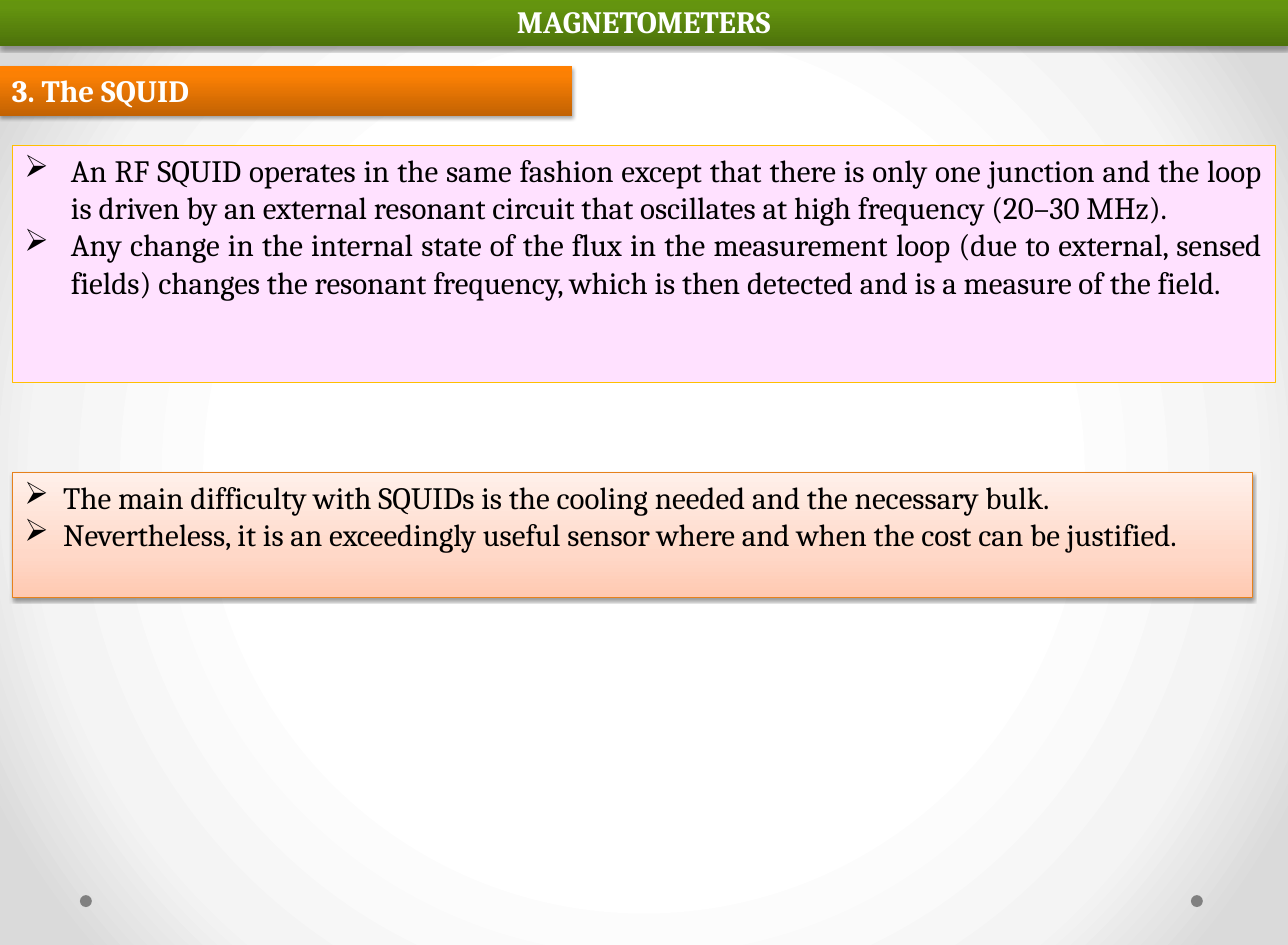
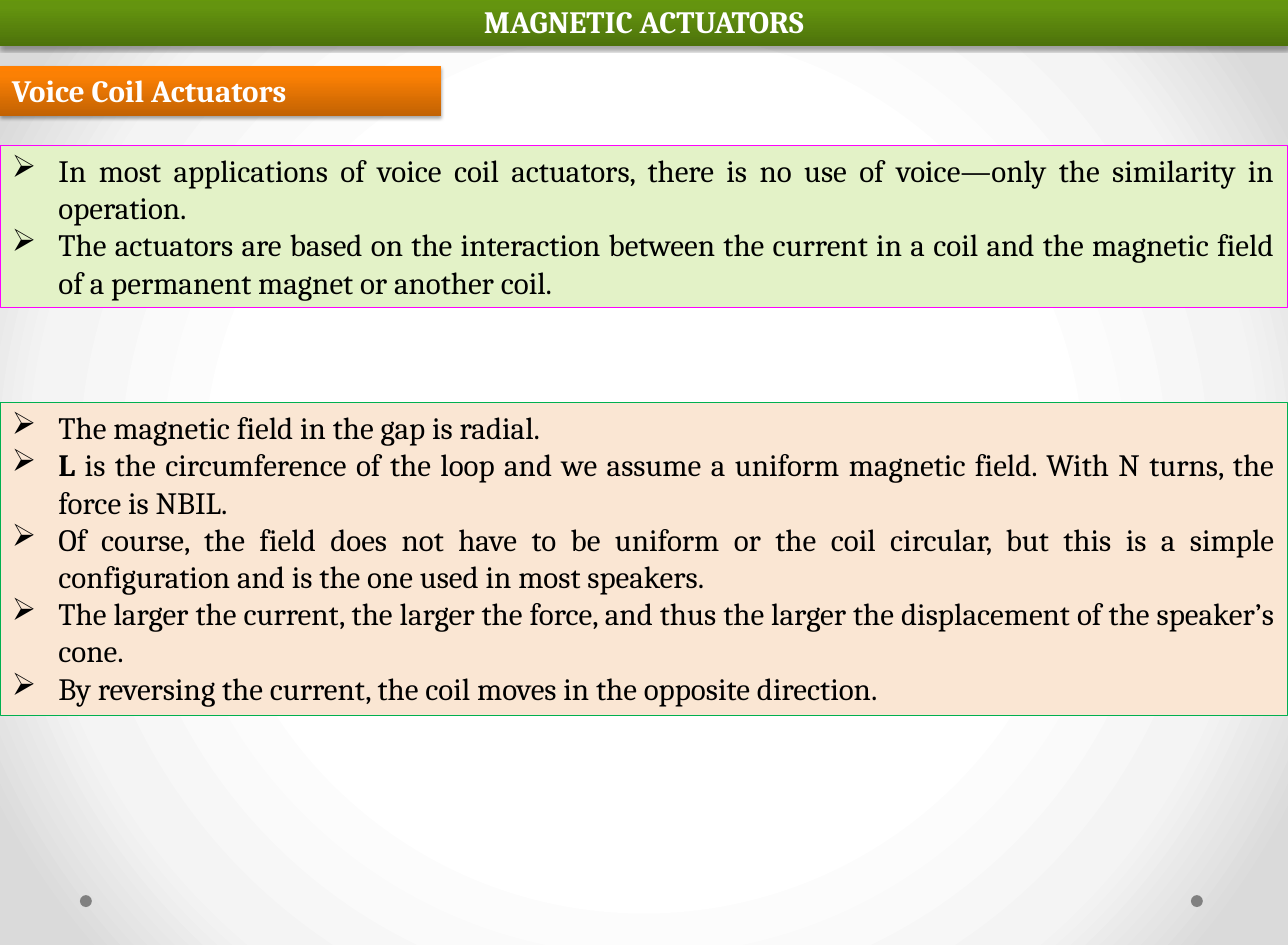
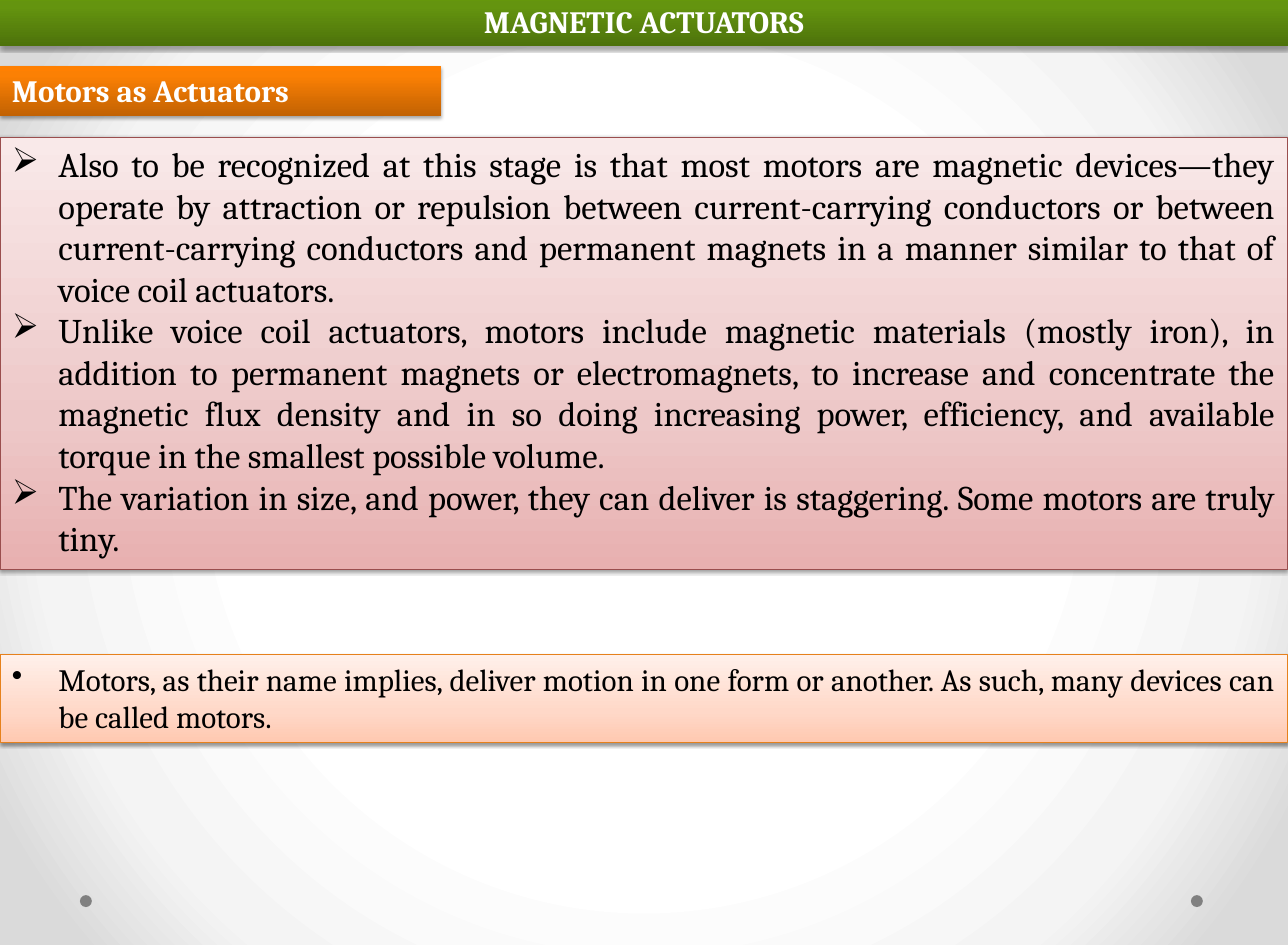
import pptx
import pptx.dml.color
import pptx.enum.shapes
import pptx.enum.text
import pptx.oxml
import pptx.oxml.ns
import pptx.util
from lxml import etree

Pt = pptx.util.Pt
RGB = pptx.dml.color.RGBColor
SHAPE = pptx.enum.shapes.MSO_SHAPE
ALIGN = pptx.enum.text.PP_ALIGN
qn = pptx.oxml.ns.qn

SLIDE_W, SLIDE_H = 1080, 792
FONT = "Cambria"
TEXT_SIZE = 26
INDENT = 39
ARROW = "➢"

BLACK = RGB(0x00, 0x00, 0x00)
WHITE = RGB(0xFF, 0xFF, 0xFF)
GRAY = RGB(0x80, 0x80, 0x80)
PINK = RGB(0xFF, 0xE1, 0xFF)
GOLD = RGB(0xFF, 0xC0, 0x00)
PALE_GREEN = RGB(0xE3, 0xF2, 0xC7)
MAGENTA = RGB(0xFF, 0x00, 0xFF)
SAND = RGB(0xFA, 0xE6, 0xD3)
GREEN = RGB(0x00, 0xB0, 0x50)
ORANGE = RGB(0xE6, 0x81, 0x1C)
BRICK = RGB(0x9A, 0x4E, 0x4E)

BACKDROP = ((50, WHITE), (76, RGB(0xF4, 0xF4, 0xF4)), (92, RGB(0xDA, 0xDA, 0xDA)))
GREEN_BAND = ((0, RGB(0x4D, 0x72, 0x0B)), (80, RGB(0x64, 0x94, 0x0F)), (100, RGB(0x65, 0x97, 0x0C)))
ORANGE_BAND = ((0, RGB(0xC2, 0x62, 0x03)), (80, RGB(0xFB, 0x80, 0x04)), (100, RGB(0xFF, 0x80, 0x02)))
PEACH = ((0, RGB(0xFF, 0xC9, 0xB1)), (35, RGB(0xFF, 0xD8, 0xC8)), (100, RGB(0xFF, 0xF0, 0xEA)))
ROSE = ((0, RGB(0xE8, 0xB0, 0xB0)), (35, RGB(0xED, 0xC8, 0xC8)), (100, RGB(0xF9, 0xE9, 0xE9)))


def add_node(parent, tag, **attributes):
    node = etree.SubElement(parent, qn(tag))
    for key, value in attributes.items():
        node.set(key, str(value))
    return node


def fill_gradient(fill, owner, stops, radial=False):
    fill.gradient()
    gradient = next(owner.iter(qn("a:gradFill")))
    for child in list(gradient):
        gradient.remove(child)
    stop_list = add_node(gradient, "a:gsLst")
    for position, color in stops:
        stop = add_node(stop_list, "a:gs", pos=position * 1000)
        add_node(stop, "a:srgbClr", val=color)
    if radial:
        circle = add_node(gradient, "a:path", path="circle")
        add_node(circle, "a:fillToRect", l=50000, t=50000, r=50000, b=50000)
    else:
        add_node(gradient, "a:lin", ang=270 * 60000, scaled=0)


def add_shadow(shape, opacity, distance):
    effects = shape._element.spPr.find(qn("a:effectLst"))
    shadow = add_node(effects, "a:outerShdw", blurRad=Pt(3.1), dist=Pt(distance),
                      dir=90 * 60000, algn="ctr", rotWithShape=0)
    color = add_node(shadow, "a:srgbClr", val=BLACK)
    add_node(color, "a:alpha", val=opacity * 1000)


def add_panel(slide, box, fill, line=None, kind=SHAPE.RECTANGLE):
    panel = slide.shapes.add_shape(kind, *map(Pt, box))
    panel.shadow.inherit = False
    if isinstance(fill, RGB):
        panel.fill.solid()
        panel.fill.fore_color.rgb = fill
    else:
        fill_gradient(panel.fill, panel._element.spPr, fill)
    if line is None:
        panel.line.fill.background()
    else:
        panel.line.color.rgb = line
        panel.line.width = Pt(0.75)
    frame = panel.text_frame
    frame.word_wrap = True
    frame.vertical_anchor = pptx.enum.text.MSO_ANCHOR.TOP
    frame.margin_left = frame.margin_right = Pt(10)
    frame.margin_top = frame.margin_bottom = Pt(5)
    return panel


def style_paragraph(paragraph, align, size, color, bold=False):
    paragraph.alignment = align
    paragraph.font.name = FONT
    paragraph.font.size = Pt(size)
    paragraph.font.color.rgb = color
    if bold:
        paragraph.font.bold = True


def add_band(slide, box, stops, text, align):
    band = add_panel(slide, box, stops)
    add_shadow(band, 35, 1.8)
    title = band.text_frame.paragraphs[0]
    title.add_run().text = text
    style_paragraph(title, align, TEXT_SIZE, WHITE, bold=True)


def add_points(slide, box, fill, line, points, size=TEXT_SIZE, indent=INDENT, bullet=ARROW):
    panel = add_panel(slide, box, fill, line)
    if not isinstance(fill, RGB):
        add_shadow(panel, 38, 1.6)
    frame = panel.text_frame
    for index, point in enumerate(points):
        paragraph = frame.add_paragraph() if index else frame.paragraphs[0]
        properties = paragraph._p.get_or_add_pPr()
        properties.set("marL", str(Pt(indent)))
        properties.set("indent", str(-Pt(indent)))
        add_node(properties, "a:buChar", char=bullet)
        lead, text = point if isinstance(point, tuple) else ("", point)
        if lead:
            run = paragraph.add_run()
            run.text = lead
            run.font.bold = True
        paragraph.add_run().text = text
        style_paragraph(paragraph, ALIGN.JUSTIFY, size, BLACK)


def add_topic_slide(prs, chapter, topic, topic_width):
    slide = prs.slides.add_slide(prs.slide_layouts[6])
    for dot_left in (998.6, 67):
        add_panel(slide, (dot_left, 750.2, 10, 10), GRAY, kind=SHAPE.OVAL)
    add_band(slide, (0, -3, SLIDE_W, 42), GREEN_BAND, chapter, ALIGN.CENTER)
    add_band(slide, (0, 55, topic_width, 42), ORANGE_BAND, topic, ALIGN.LEFT)
    return slide


def main():
    prs = pptx.Presentation()
    prs.slide_width, prs.slide_height = Pt(SLIDE_W), Pt(SLIDE_H)
    master = prs.slide_master
    fill_gradient(master.background.fill, master._element, BACKDROP, radial=True)

    squid = add_topic_slide(prs, "MAGNETOMETERS", "3. The SQUID", 480)
    add_points(squid, (10.5, 122, 1059, 199), PINK, GOLD, [
        "An RF SQUID operates in the same fashion except that there is only one junction and the loop is driven by an external resonant circuit that oscillates at high frequency (20–30 MHz).",
        "Any change in the internal state of the flux in the measurement loop (due to external, sensed fields) changes the resonant frequency, which is then detected and is a measure of the field.",
    ])
    add_points(squid, (10.5, 396, 1040, 105), PEACH, ORANGE, [
        "The main difficulty with SQUIDs is the cooling needed and the necessary bulk.",
        "Nevertheless, it is an exceedingly useful sensor where and when the cost can be justified.",
    ], indent=32.4)

    voice_coil = add_topic_slide(prs, "MAGNETIC ACTUATORS", "Voice Coil Actuators", 370)
    add_points(voice_coil, (0, 122, SLIDE_W, 136), PALE_GREEN, MAGENTA, [
        "In most applications of voice coil actuators, there is no use of voice—only the similarity in operation.",
        "The actuators are based on the interaction between the current in a coil and the magnetic field of a permanent magnet or another coil.",
    ])
    add_points(voice_coil, (0, 337.5, SLIDE_W, 262.5), SAND, GREEN, [
        "The magnetic field in the gap is radial.",
        ("L ", "is the circumference of the loop and we assume a uniform magnetic field. With N turns, the force is NBIL."),
        "Of course, the field does not have to be uniform or the coil circular, but this is a simple configuration and is the one used in most speakers.",
        "The larger the current, the larger the force, and thus the larger the displacement of the speaker’s cone.",
        "By reversing the current, the coil moves in the opposite direction.",
    ])

    motors = add_topic_slide(prs, "MAGNETIC ACTUATORS", "Motors as Actuators", 370)
    add_points(motors, (0, 115, SLIDE_W, 362), ROSE, BRICK, [
        "Also to be recognized at this stage is that most motors are magnetic devices—they operate by attraction or repulsion between current-carrying conductors or between current-carrying conductors and permanent magnets in a manner similar to that of voice coil actuators.",
        "Unlike voice coil actuators, motors include magnetic materials (mostly iron), in addition to permanent magnets or electromagnets, to increase and concentrate the magnetic flux density and in so doing increasing power, efficiency, and available torque in the smallest possible volume.",
        "The variation in size, and power, they can deliver is staggering. Some motors are truly tiny.",
    ], size=29)
    add_points(motors, (0, 548.5, SLIDE_W, 73.5), PEACH, ORANGE, [
        "Motors, as their name implies, deliver motion in one form or another. As such, many devices can be called motors.",
    ], bullet="•")

    prs.save("out.pptx")


if __name__ == "__main__":
    main()
